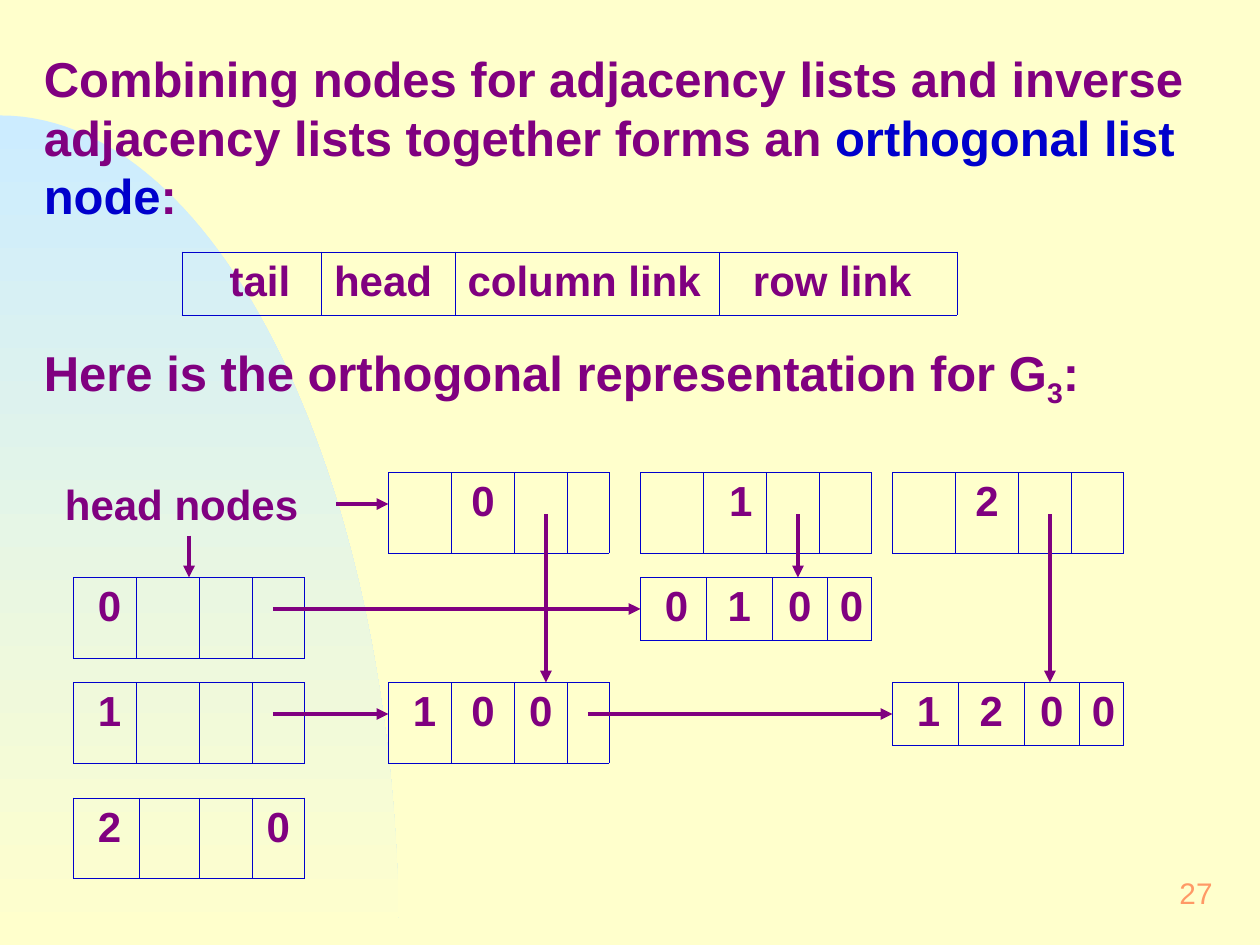
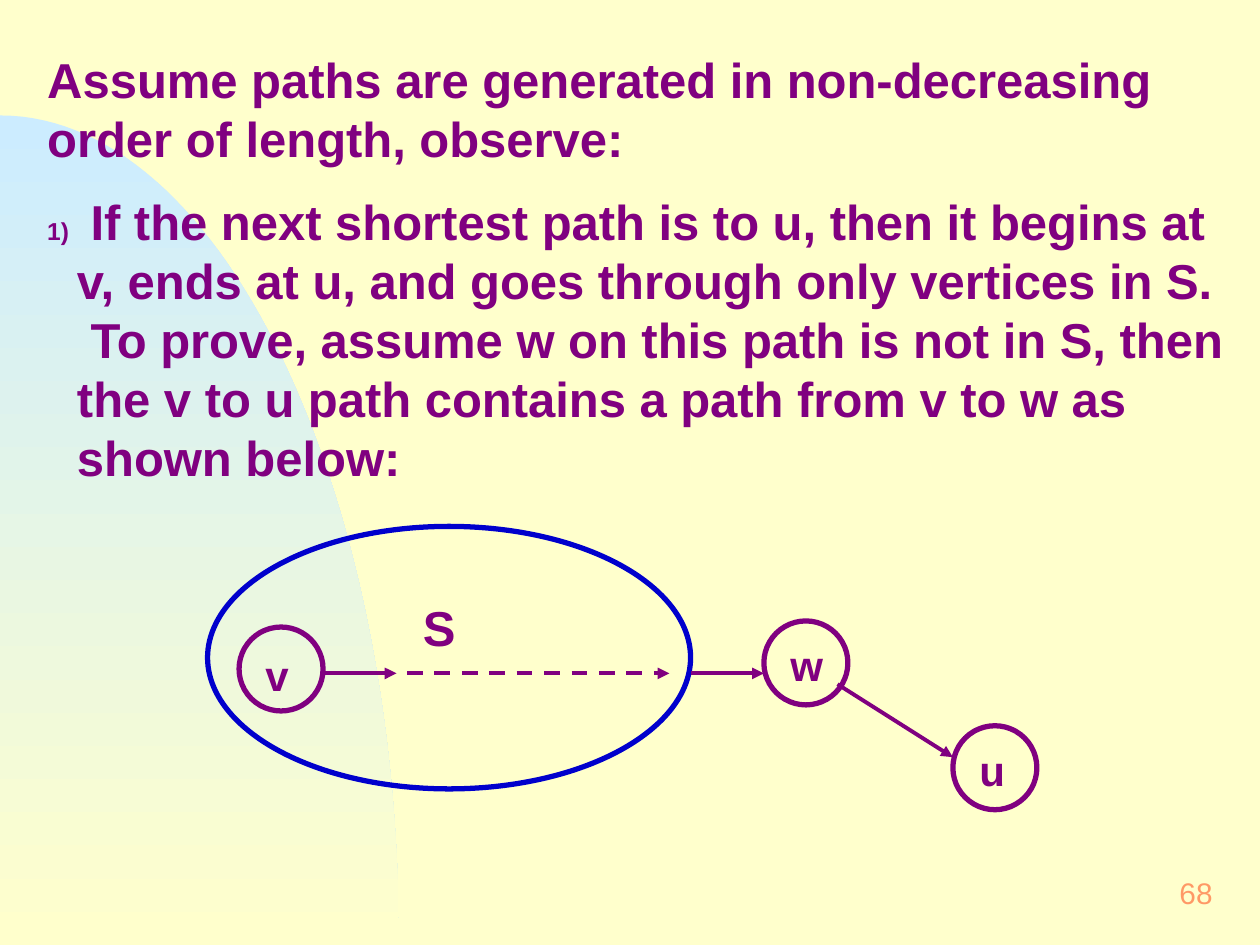
from lxml import etree
from pptx import Presentation
from pptx.dml.color import RGBColor
from pptx.enum import dml, shapes, text
from pptx.oxml import ns
from pptx.util import Pt

PURPLE, BLUE, ORANGE = "800080", "0000CC", "FF9966"
CREAM, SKY = "FFFFCC", "CCECFF"
FONT = "Arial"
LEFT, CENTER, RIGHT = text.PP_ALIGN.LEFT, text.PP_ALIGN.CENTER, text.PP_ALIGN.RIGHT
SPACE = 6.67  # width of a blank at 24 pt
WIDE_MARGINS = (9, 4.4)
WIDE_CELLS = (36, 36, 30, 30)
FULL_CELLS = (37.7, 37.7, 31.4, 25.2)
SHORT_CELLS = (36, 36, 30, 24)
LAST_CELLS = (37.7, 34.3, 30, 30)


def rgb(hex_code):
    return RGBColor.from_string(hex_code)


def sub(parent, tag, **attributes):
    return etree.SubElement(parent, ns.qn(tag), attributes)


def write(paragraph, content, size=28, color=PURPLE, bold=True, align=LEFT,
          baseline=None):
    """Append one formatted run to a paragraph."""
    paragraph.alignment = align
    run = paragraph.add_run()
    run.text = content
    run.font.name, run.font.size, run.font.bold = FONT, Pt(size), bold
    run.font.color.rgb = rgb(color)
    if baseline is not None:
        run.font._element.set("baseline", str(baseline))


def set_margins(holder, left, top, right, bottom):
    holder.margin_left, holder.margin_top = Pt(left), Pt(top)
    holder.margin_right, holder.margin_bottom = Pt(right), Pt(bottom)


def add_text(slide, left, top, width, height, *runs, margins=(7.2, 3.6),
             anchor=text.MSO_ANCHOR.TOP, wrap=True, **style):
    """Place a text box; each run is a string or (string, format) pair."""
    frame = slide.shapes.add_textbox(Pt(left), Pt(top), Pt(width), Pt(height)).text_frame
    frame.word_wrap, frame.vertical_anchor = wrap, anchor
    set_margins(frame, *margins, *margins)
    for run in runs:
        content, extra = (run, {}) if isinstance(run, str) else run
        write(frame.paragraphs[0], content, **{**style, **extra})
    return frame


def add_numbered(frame, number, *lines, indent=17):
    """Append a numbered paragraph with a break between its lines."""
    paragraph = frame.add_paragraph()
    paragraph.space_before = Pt(14)
    properties = paragraph._p.get_or_add_pPr()
    properties.set("marL", str(Pt(indent)))
    properties.set("indent", str(-Pt(indent)))
    sub(sub(properties, "a:buClr"), "a:srgbClr", val=PURPLE)
    sub(properties, "a:buSzPct", val="50000")
    sub(properties, "a:buFont", typeface=FONT)
    sub(properties, "a:buAutoNum", type="arabicParenR", startAt=str(number))
    for i, line in enumerate(lines):
        if i:
            paragraph.add_line_break()
        write(paragraph, line)


def add_borders(cell):
    properties = cell._tc.get_or_add_tcPr()
    for index, side in enumerate(("a:lnL", "a:lnR", "a:lnT", "a:lnB")):
        border = etree.Element(ns.qn(side), w=str(Pt(0.45)))
        sub(sub(border, "a:solidFill"), "a:srgbClr", val=BLUE)
        properties.insert(index, border)


def add_node(slide, left, top, labels, widths, indents=None, trails=None,
             aligns=(LEFT, CENTER, CENTER, CENTER)):
    """Draw a list node: one table row with a cell per field."""
    indents, trails = indents or {0: SPACE}, trails or {}
    height = 36 if all(labels) else 46
    node = slide.shapes.add_table(1, len(labels), Pt(left), Pt(top),
                                  Pt(sum(widths)), Pt(height))
    table = node.table
    table.first_row = table.horz_banding = False
    for i, (label, width) in enumerate(zip(labels, widths)):
        table.columns[i].width = Pt(width)
        cell = table.cell(0, i)
        cell.fill.background()
        add_borders(cell)
        set_margins(cell, 7.2 + indents.get(i, 0), 3.6, 7.2 + trails.get(i, 0), 3.6)
        if label:
            write(cell.text_frame.paragraphs[0], label, size=24, align=aligns[i])
    return node


def add_arrow(slide, x1, y1, x2, y2, target=None, side=None, dashed=False):
    arrow = slide.shapes.add_connector(shapes.MSO_CONNECTOR.STRAIGHT,
                                       Pt(x1), Pt(y1), Pt(x2), Pt(y2))
    arrow.line.color.rgb, arrow.line.width = rgb(PURPLE), Pt(2.25)
    if dashed:
        arrow.line.dash_style = dml.MSO_LINE.DASH
    sub(arrow.line._get_or_add_ln(), "a:tailEnd", type="triangle")
    sub(arrow._element.spPr, "a:effectLst")
    if target is not None:
        arrow.end_connect(target, side)


def add_ring(slide, left, top, width, height, color=PURPLE):
    ring = slide.shapes.add_shape(shapes.MSO_SHAPE.OVAL, Pt(left), Pt(top),
                                  Pt(width), Pt(height))
    ring.shadow.inherit = False
    ring.fill.background()
    ring.line.color.rgb, ring.line.width = rgb(color), Pt(3)


def add_vertex(slide, left, top, name, name_left, name_top):
    add_ring(slide, left, top, 48, 48)
    add_text(slide, name_left, name_top, 36, 37.4, name, size=24, margins=WIDE_MARGINS)


def add_curve(slide):
    """Draw the shaded quarter dome along the left edge."""
    start, lift, bend, end = (0, 66), (126, 66), (228, 278.6), (228, 540)
    steps = 60

    def point(t):
        weights = ((1 - t) ** 3, 3 * t * (1 - t) ** 2, 3 * t * t * (1 - t), t ** 3)
        return tuple(Pt(sum(w * p[axis] for w, p in zip(weights, (start, lift, bend, end))))
                     for axis in (0, 1))

    builder = slide.shapes.build_freeform(*point(0))
    builder.add_line_segments([point(i / steps) for i in range(1, steps + 1)]
                              + [(0, Pt(540))], close=True)
    dome = builder.convert_to_shape()
    dome.shadow.inherit = False
    dome.line.fill.background()
    dome.fill.gradient()
    dome.fill.gradient_angle = 270
    for stop, color, position in zip(dome.fill.gradient_stops, (SKY, CREAM), (0, 1)):
        stop.color.rgb, stop.position = rgb(color), position


def add_slide(deck, number):
    slide = deck.slides.add_slide(deck.slide_layouts[6])
    add_curve(slide)
    add_text(slide, 552, 492, 150, 36, str(number), size=17, color=ORANGE, bold=False,
             align=RIGHT, anchor=text.MSO_ANCHOR.MIDDLE, wrap=False, margins=WIDE_MARGINS)
    return slide


def orthogonal_list_slide(deck):
    slide = add_slide(deck, 27)
    add_text(slide, 18, 24, 690, 108,
             "Combining nodes for adjacency lists and inverse adjacency lists "
             "together forms an ", ("orthogonal list node", {"color": BLUE}), ":")
    add_node(slide, 104, 144, ("tail", "head", "column link", "row link"),
             (79.7, 76.3, 151, 136), indents={0: 3 * SPACE}, trails={3: SPACE},
             aligns=(LEFT, LEFT, LEFT, CENTER))
    add_text(slide, 18, 192, 690, 45, "Here is the orthogonal representation for G",
             ("3", {"baseline": -25000}), ":")

    heads, column_0, column_1, column_2 = 42, 222, 366, 510
    top_row, row_0, row_1, row_2 = 270, 330, 390, 456
    add_node(slide, column_0, top_row, ("", "0", "", ""), SHORT_CELLS)
    add_node(slide, column_1, top_row, ("", "1", "", ""), WIDE_CELLS, indents={1: SPACE})
    add_node(slide, column_2, top_row, ("", "2", "", ""), WIDE_CELLS)
    head_0 = add_node(slide, heads, row_0, ("0", "", "", ""), WIDE_CELLS)
    add_node(slide, heads, row_1, ("1", "", "", ""), WIDE_CELLS)
    add_node(slide, heads, row_2, ("2", "", "", "0"), LAST_CELLS)
    edge_01 = add_node(slide, column_1, row_0, "0100", FULL_CELLS)
    add_node(slide, column_0, row_1, ("1", "0", "0", ""), SHORT_CELLS)
    edge_12 = add_node(slide, column_2, row_1, "1200", FULL_CELLS)

    for column, row in ((column_0, row_1), (column_1, row_0), (column_2, row_1)):
        add_arrow(slide, column + 90, top_row + 24, column + 90, row)
    add_arrow(slide, 108, 306, 108, row_0, head_0, 0)
    add_arrow(slide, 336, row_1 + 18, column_2, row_1 + 18, edge_12, 1)
    add_arrow(slide, 156, row_0 + 18, column_1, row_0 + 18, edge_01, 1)
    add_arrow(slide, 156, row_1 + 18, column_0, row_1 + 18)
    add_arrow(slide, 192, top_row + 18, column_0, top_row + 18)
    add_text(slide, 30, 270, 156, 40, "head nodes", size=24)


def shortest_path_slide(deck):
    slide = add_slide(deck, 68)
    observations = add_text(
        slide, 18, 24, 690, 258.5,
        "Assume paths are generated in non-decreasing order of length, observe:",
        margins=WIDE_MARGINS)
    observations.margin_right = Pt(7.2)
    add_numbered(observations, 1,
                 " If the next shortest path is to u, then it begins at v, ends at u, "
                 "and goes through only vertices in S.",
                 " To prove, assume w on this path is not in S, then the v to u path "
                 "contains a path from v to w as shown below:")
    add_vertex(slide, 136.6, 358.3, "v", 142.6, 366.8)
    add_vertex(slide, 436.5, 354.8, "w", 442.6, 361)
    add_vertex(slide, 544.5, 414.7, "u", 550.6, 421)
    add_ring(slide, 118.6, 300.8, 276, 150, BLUE)
    add_text(slide, 232.6, 337, 36, 42.5, "S", margins=WIDE_MARGINS)
    path_y = 384.8
    add_arrow(slide, 184.6, path_y, 226.6, path_y)
    add_arrow(slide, 394.6, path_y, 436.5, path_y)
    add_arrow(slide, 478.6, 391, 544.5, 432.7)
    add_arrow(slide, 232.6, path_y, 382.5, path_y, dashed=True)


def main():
    deck = Presentation()
    deck.slide_width, deck.slide_height = Pt(720), Pt(540)
    background = deck.slide_master.background.fill
    background.solid()
    background.fore_color.rgb = rgb(CREAM)
    orthogonal_list_slide(deck)
    shortest_path_slide(deck)
    deck.save("out.pptx")


if __name__ == "__main__":
    main()
